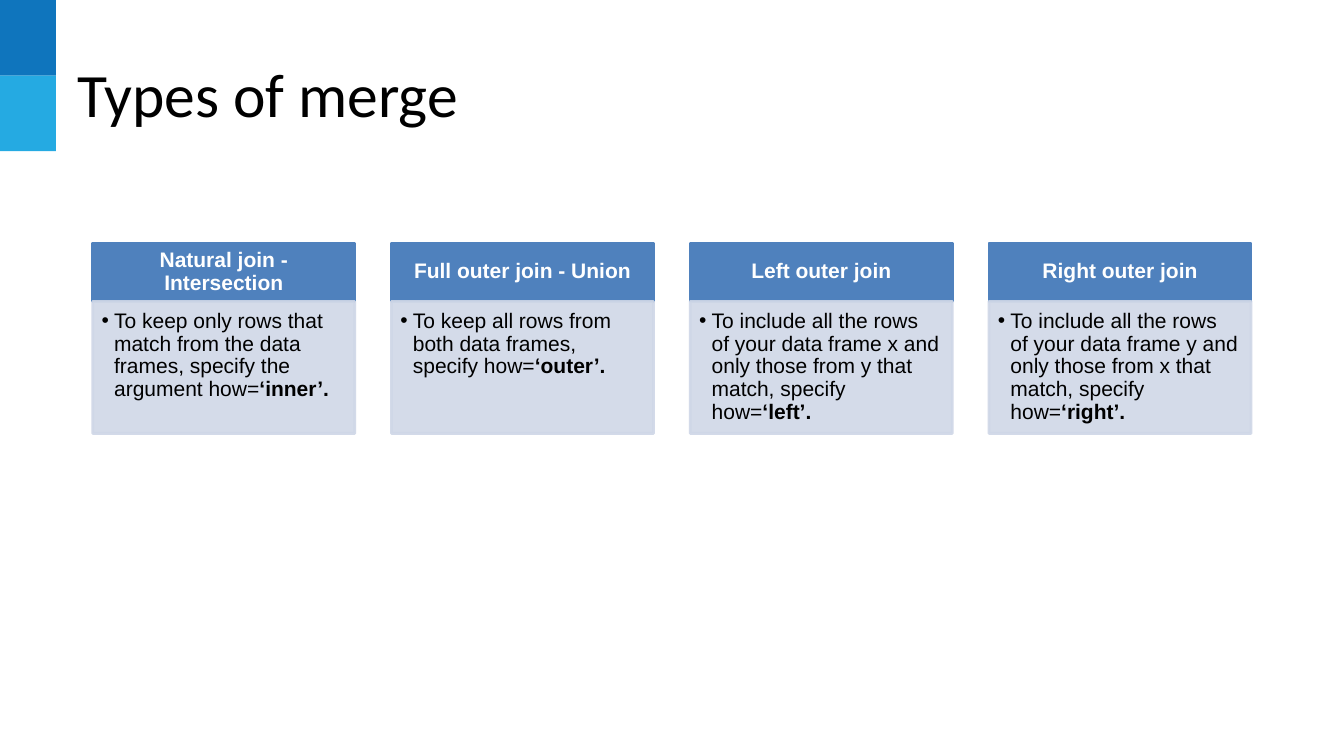
"""Build the slide on types of merge."""
from dataclasses import dataclass
from typing import Any

from lxml import etree
from pptx import Presentation, util as u
from pptx.dml.color import RGBColor
from pptx.enum import shapes, text
from pptx.oxml import ns

Pt = u.Pt
NAVY = RGBColor(0x0F, 0x75, 0xBD)
SKY = RGBColor(0x25, 0xAA, 0xE2)
BLUE = RGBColor(0x4F, 0x81, 0xBD)
PALE = RGBColor(0xCF, 0xD7, 0xE7)
WHITE = RGBColor(0xFF, 0xFF, 0xFF)
BLACK = RGBColor(0, 0, 0)

LEFT, PITCH, WIDTH = 66.25, 213.4, 187.2
TOP, HEAD, BODY = 173.5, 41.8, 94.3
ALPHA = "89000"
TITLE = {"word_wrap": True, "vertical_anchor": text.MSO_ANCHOR.MIDDLE}
HEADING = TITLE | {"margin_left": Pt(8.4), "margin_right": Pt(8.4),
                   "margin_top": Pt(4.8), "margin_bottom": Pt(4.8)}
DETAIL = {"word_wrap": True, "vertical_anchor": text.MSO_ANCHOR.TOP,
          "margin_left": Pt(6.3), "margin_right": Pt(8.4),
          "margin_top": Pt(6.3), "margin_bottom": Pt(9.45)}


@dataclass(frozen=True)
class Join:
    name: str
    rule: str
    value: str


JOINS = (
    Join("Natural join - Intersection",
         "To keep only rows that match from the data frames, "
         "specify the argument how=", "‘inner’."),
    Join("Full outer join - Union",
         "To keep all rows from both data frames, specify how=", "‘outer’."),
    Join("Left outer join",
         "To include all the rows of your data frame x and only those "
         "from y that match, specify how=", "‘left’."),
    Join("Right outer join",
         "To include all the rows of your data frame y and only those "
         "from x that match, specify how=", "‘right’."),
)


def format(item: Any, values: dict[str, Any]) -> None:
    """Set each named value on the item."""
    for key, value in values.items():
        setattr(item, key, value)


def write(para: Any, words: str, size: float, color: RGBColor,
          name: str = "Arial", bold: bool = False) -> None:
    """Add one run of text to the paragraph."""
    run = para.add_run()
    run.text = words
    format(run.font, {"size": Pt(size), "name": name, "bold": bold})
    run.font.color.rgb = color


def block(slide: Any, left: float, top: float, width: float, height: float,
          color: RGBColor, edge: bool = False) -> Any:
    """Draw a filled rectangle, with a border if asked."""
    box = slide.shapes.add_shape(shapes.MSO_SHAPE.RECTANGLE, Pt(left), Pt(top),
                                 Pt(width), Pt(height))
    box.shadow.inherit = False
    box.fill.solid()
    box.fill.fore_color.rgb = color
    if edge:
        box.line.color.rgb = color
        box.line.width = Pt(2)
    else:
        box.line.fill.background()
    return box


def fade(box: Any) -> None:
    """Make the fill and border slightly transparent."""
    for color in box.element.spPr.iter(ns.qn("a:srgbClr")):
        etree.SubElement(color, ns.qn("a:alpha"), val=ALPHA)


def bullet(para: Any) -> None:
    """Give the paragraph a hanging black bullet."""
    props = para._p.get_or_add_pPr()
    format(para, {"level": 1})
    props.set("marL", str(Pt(9)))
    props.set("indent", str(Pt(-9)))
    tint = etree.SubElement(props, ns.qn("a:buClr"))
    etree.SubElement(tint, ns.qn("a:srgbClr"), val=str(BLACK))
    etree.SubElement(props, ns.qn("a:buFont"), typeface="Arial")
    etree.SubElement(props, ns.qn("a:buChar"), char="•")


def card(slide: Any, left: float, join: Join) -> None:
    """Draw the heading and the detail of one join."""
    head = block(slide, left, TOP, WIDTH, HEAD, BLUE, True)
    format(head.text_frame, HEADING)
    para = head.text_frame.paragraphs[0]
    format(para, {"alignment": text.PP_ALIGN.CENTER, "line_spacing": 0.9})
    write(para, join.name, 15, WHITE, bold=True)

    body = block(slide, left, TOP + HEAD, WIDTH, BODY, PALE, True)
    fade(body)
    format(body.text_frame, DETAIL)
    para = body.text_frame.paragraphs[0]
    bullet(para)
    format(para, {"alignment": text.PP_ALIGN.LEFT, "line_spacing": 0.9})
    write(para, join.rule, 15, BLACK)
    write(para, join.value, 15, BLACK, bold=True)


def main() -> None:
    """Build and save the slide."""
    deck = Presentation()
    format(deck, {"slide_width": Pt(960), "slide_height": Pt(540)})
    slide = deck.slides.add_slide(deck.slide_layouts[6])
    for row, color in enumerate((NAVY, SKY)):
        block(slide, 0, row * 54, 40, 54, color)
    title = slide.shapes.add_textbox(Pt(48), Pt(21.6), Pt(864), Pt(90))
    format(title.text_frame, TITLE)
    write(title.text_frame.paragraphs[0], "Types of merge", 44, BLACK, "Calibri")
    for col, join in enumerate(JOINS):
        card(slide, LEFT + col * PITCH, join)
    deck.save("out.pptx")


if __name__ == "__main__":
    main()
